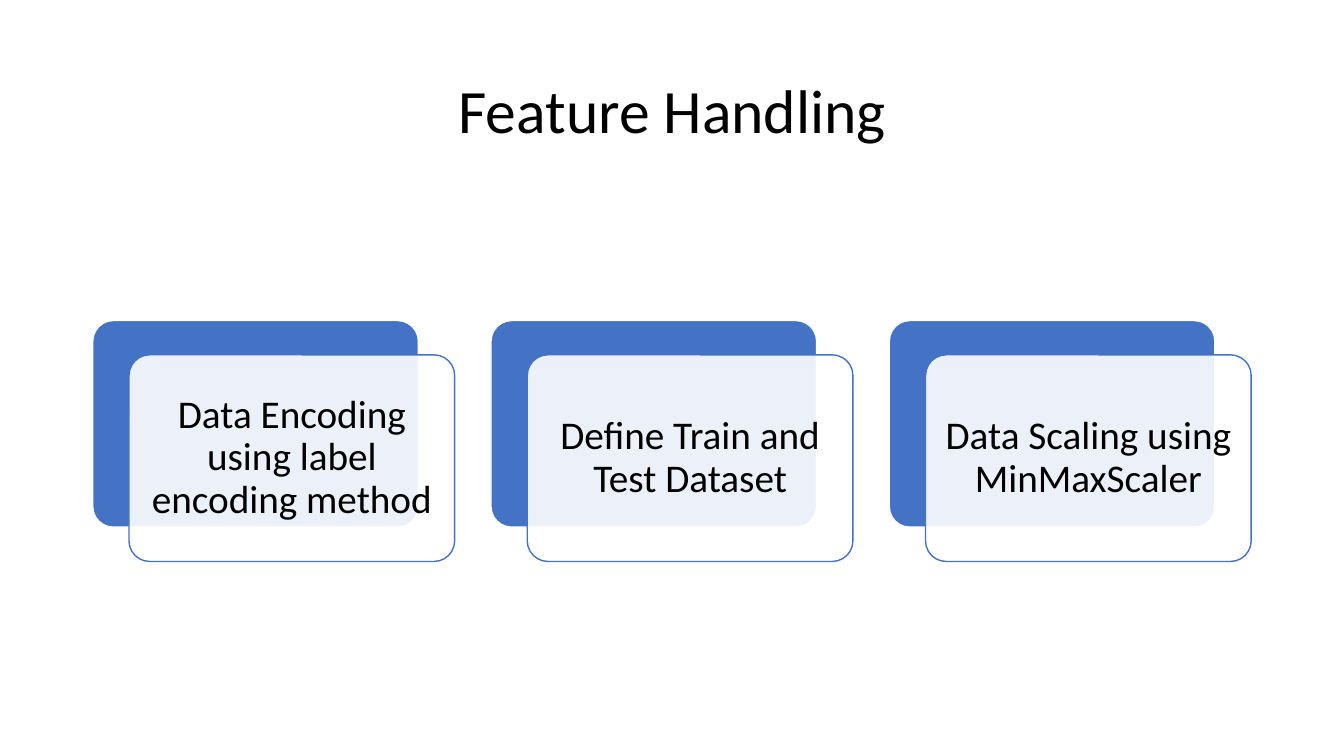
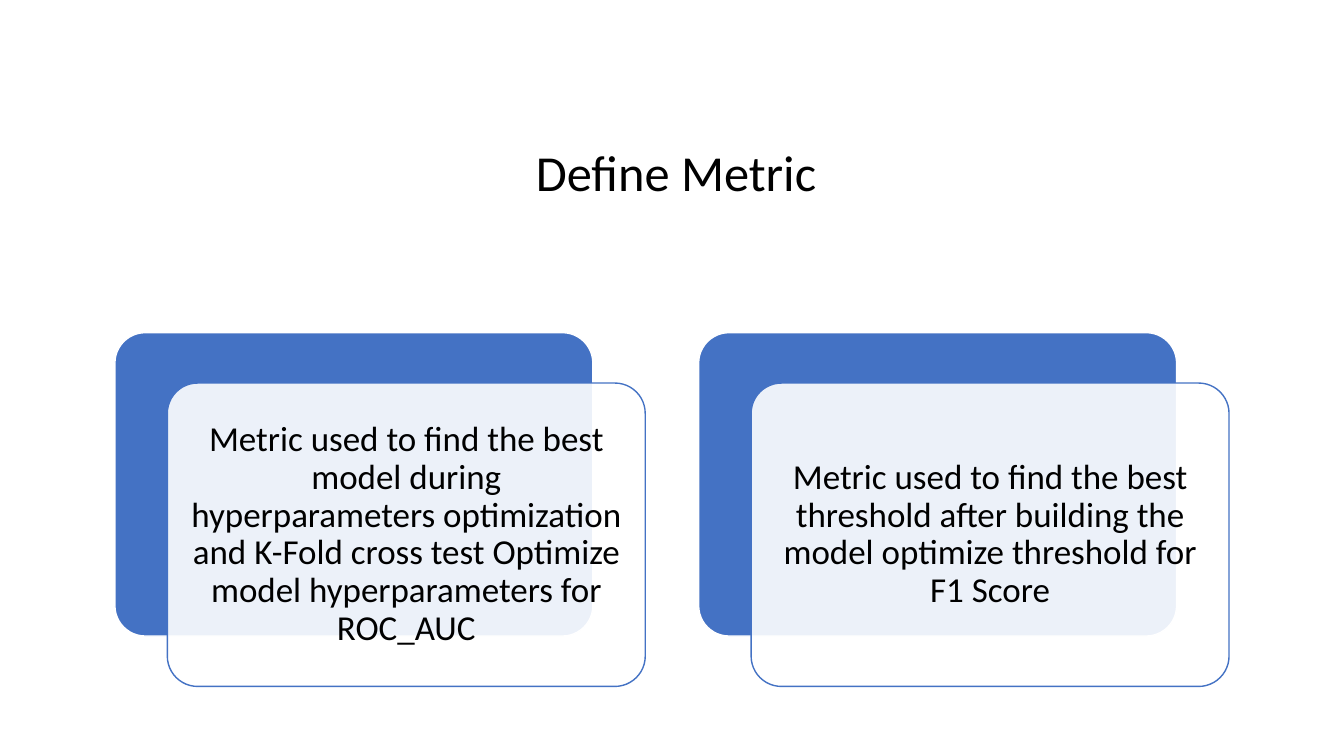
import pptx
import pptx.util
import pptx.dml.color
import pptx.enum.shapes
import pptx.enum.text
import pptx.oxml.ns
import lxml.etree

Inches = pptx.util.Inches
Pt = pptx.util.Pt

FONT = "Calibri"
BLACK, WHITE, BLUE = "000000", "FFFFFF", "4472C4"
LINE_SPACING = 0.9
FRONT_OPACITY = 90

SLIDES = [
    {
        "title": "Feature Handling",
        "title_box": (0.92, 0.4, 11.5, 1.45),
        "title_size": 44,
        "cards": [
            "Data Encoding using label encoding method",
            "Define Train and Test Dataset",
            "Data Scaling using MinMaxScaler",
        ],
        "first_card": (0.92, 3.18),
        "card_size": (3.23, 2.05),
        "pitch": 3.95,
        "front_offset": (0.36, 0.34),
        "inset": 0.12,
        "text_size": 28,
    },
    {
        "title": "Define Metric",
        "title_box": (1.14, 0.89, 11.13, 1.7),
        "title_size": 36,
        "cards": [
            "Metric used to find the best model during hyperparameters optimization "
            "and K-Fold cross test Optimize model hyperparameters for ROC_AUC",
            "Metric used to find the best threshold after building the model "
            "optimize threshold for F1 Score",
        ],
        "first_card": (1.14, 3.3),
        "card_size": (4.74, 3.01),
        "pitch": 5.79,
        "front_offset": (0.52, 0.5),
        "inset": 0.1,
        "text_size": 25,
    },
]


def color(value):
    return pptx.dml.color.RGBColor.from_string(value)


def write_centered(frame, text, size):
    frame.word_wrap = True
    frame.vertical_anchor = pptx.enum.text.MSO_ANCHOR.MIDDLE
    paragraph = frame.paragraphs[0]
    paragraph.alignment = pptx.enum.text.PP_ALIGN.CENTER
    paragraph.line_spacing = LINE_SPACING
    run = paragraph.add_run()
    run.text = text
    run.font.name = FONT
    run.font.size = Pt(size)
    run.font.color.rgb = color(BLACK)


def add_panel(group, left, top, size, fill, line):
    panel = group.shapes.add_shape(
        pptx.enum.shapes.MSO_SHAPE.ROUNDED_RECTANGLE,
        Inches(left), Inches(top), *map(Inches, size))
    panel.adjustments[0] = 0.1
    panel.shadow.inherit = False
    panel.fill.solid()
    panel.fill.fore_color.rgb = color(fill)
    panel.line.color.rgb = color(line)
    panel.line.width = Pt(1)
    return panel


def set_opacity(panel, percent):
    qn = pptx.oxml.ns.qn
    fill_color = panel.fill._xPr.find(qn("a:solidFill")).find(qn("a:srgbClr"))
    lxml.etree.SubElement(fill_color, qn("a:alpha")).set("val", str(percent * 1000))


def add_card(group, left, top, text, content):
    size = content["card_size"]
    shift_x, shift_y = content["front_offset"]
    add_panel(group, left, top, size, BLUE, WHITE)
    front = add_panel(group, left + shift_x, top + shift_y, size, WHITE, BLUE)
    set_opacity(front, FRONT_OPACITY)
    frame = front.text_frame
    frame.margin_left = frame.margin_right = Inches(content["inset"])
    frame.margin_top = frame.margin_bottom = Inches(content["inset"])
    write_centered(frame, text, content["text_size"])


def add_slide(deck, content):
    slide = deck.slides.add_slide(deck.slide_layouts.get_by_name("Title Only"))
    title = slide.shapes.title
    title.left, title.top, title.width, title.height = map(Inches, content["title_box"])
    write_centered(title.text_frame, content["title"], content["title_size"])
    cards = slide.shapes.add_group_shape()
    left, top = content["first_card"]
    for index, text in enumerate(content["cards"]):
        add_card(cards, left + index * content["pitch"], top, text, content)


def main():
    deck = pptx.Presentation()
    deck.slide_width, deck.slide_height = Inches(13.33), Inches(7.5)
    for content in SLIDES:
        add_slide(deck, content)
    deck.save("out.pptx")


if __name__ == "__main__":
    main()
